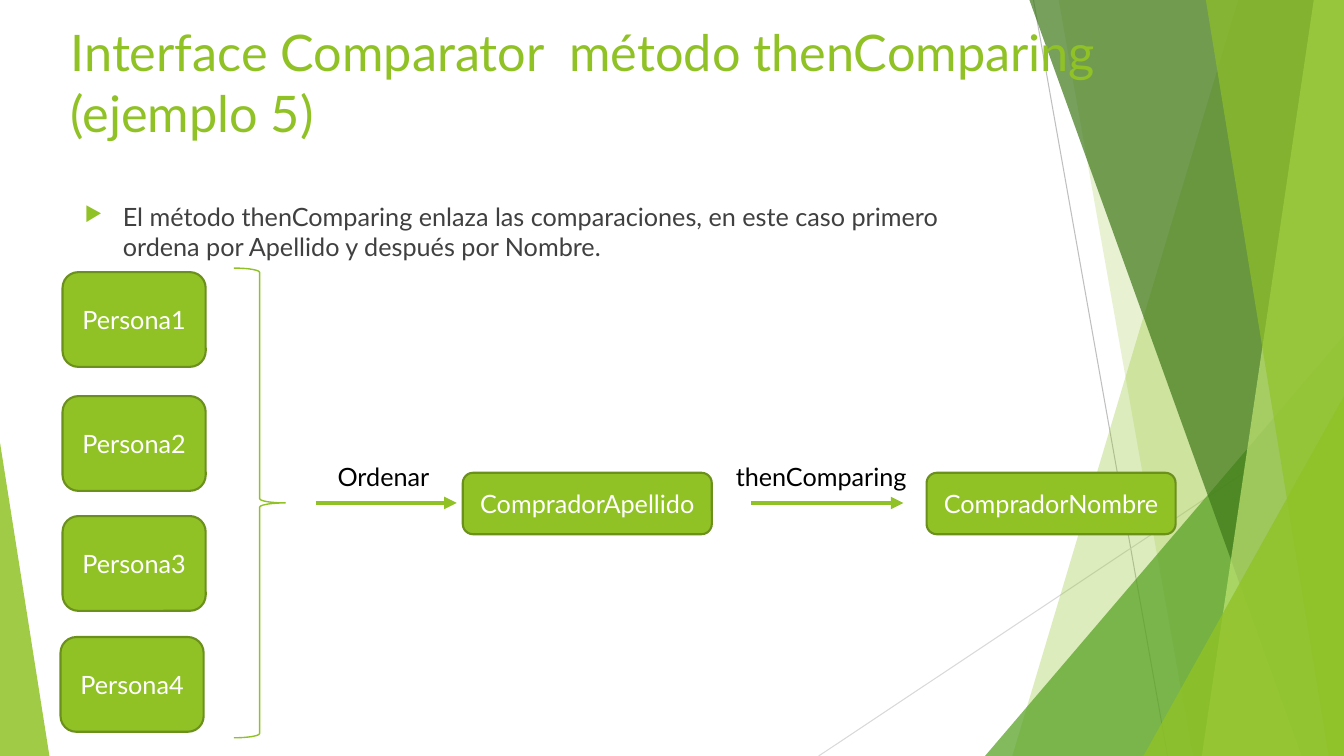
"""Build the slide on chaining comparators with thenComparing."""
from pptx import Presentation
from pptx.dml.color import RGBColor
from pptx.enum.shapes import MSO_CONNECTOR as Connector, MSO_SHAPE as Preset
from pptx.enum.text import MSO_ANCHOR as Anchor, PP_ALIGN as Align
from pptx.oxml.ns import qn
from pptx.oxml.xmlchemy import OxmlElement as make
from pptx.util import Inches, Pt

WIDTH, HEIGHT = 13.33, 7.5
GREEN, EDGE, WHITE, BLACK, GREY = "90C226", "6B901C", "FFFFFF", "000000", "404040"


def paint(shape, fill, line=None, weight=1.5, opacity=100):
    shape.shadow.inherit = False
    if fill:
        shape.fill.solid()
        shape.fill.fore_color.rgb = RGBColor.from_string(fill)
        alpha = make("a:alpha")
        alpha.set("val", str(opacity * 1000))
        shape.element.spPr.find(qn("a:solidFill"))[0].append(alpha)
    else:
        shape.fill.background()
    if line:
        shape.line.color.rgb = RGBColor.from_string(line)
        shape.line.width = Pt(weight)
    else:
        shape.line.fill.background()


def write(shape, text, color, size=18, align=Align.LEFT, anchor=Anchor.TOP):
    frame = shape.text_frame
    frame.text = text
    frame.word_wrap = True
    frame.vertical_anchor = anchor
    para = frame.paragraphs[0]
    para.alignment = align
    font = para.runs[0].font
    font.name, font.size = "Lato", Pt(size)
    font.color.rgb = RGBColor.from_string(color)


deck = Presentation()
deck.slide_width, deck.slide_height = Inches(WIDTH), Inches(HEIGHT)
page = deck.slides.add_slide(deck.slide_layouts[5])
shapes = page.shapes

rays = [
    (10.25, 0, 11.58, HEIGHT, "BFBFBF", 0.75, False),
    (WIDTH, 4.03, 8.12, HEIGHT, "D9D9D9", 0.75, False),
]
arrows = [(3.13, 4.99, 4.53, 4.99, GREEN, 3, True), (7.45, 4.99, 8.96, 4.99, GREEN, 3, True)]
for x1, y1, x2, y2, color, weight, has_head in rays + arrows:
    line = shapes.add_connector(Connector.STRAIGHT, *map(Inches, (x1, y1, x2, y2)))
    line.line.color.rgb = RGBColor.from_string(color)
    line.line.width = Pt(weight)
    if has_head:
        head = make("a:tailEnd")
        head.set("type", "triangle")
        line.line._get_or_add_ln().append(head)
    line.element.spPr.append(make("a:effectLst"))

facets = [
    ("band", 12.28, 10.04, GREEN, 30),
    ("band", 10.5, 11.83, GREEN, 20),
    ("right", 9.77, 3.33, "54A021", 72),
    ("band", 10.21, 12.91, "3F7819", 70),
    ("band", 13.03, 11.92, "C0E474", 70),
    ("band", 11.96, 13.18, GREEN, 65),
    ("right", 11.34, 3.93, GREEN, 80),
    ("left", 0.49, 4.39, GREEN, 85),
]
for kind, first, second, color, opacity in facets:
    if kind == "band":
        outline = shapes.build_freeform(Inches(first), 0)
        corners = [(WIDTH, 0), (WIDTH, HEIGHT), (second, HEIGHT)]
        outline.add_line_segments([(Inches(x), Inches(y)) for x, y in corners])
        facet = outline.convert_to_shape()
    else:
        left, right = (first, WIDTH) if kind == "right" else (0, first)
        facet = shapes.add_shape(Preset.ISOSCELES_TRIANGLE, Inches(left), Inches(second),
                                 Inches(right - left), Inches(HEIGHT - second))
        facet.adjustments[0] = 1 if kind == "right" else 0
    paint(facet, color, opacity=opacity)

title = shapes.title
title.left, title.top, title.width, title.height = map(Inches, (0.6, 0.16, 11.82, 1.31))
write(title, "Interface Comparator  método thenComparing (ejemplo 5)", GREEN, 36)
title.element.getparent().append(title.element)

body = shapes.add_textbox(*map(Inches, (0.74, 1.95, 9.4, 0.7)))
write(body, "El método thenComparing enlaza las comparaciones, en este caso primero "
            "ordena por Apellido y después por Nombre.", GREY)
properties = body.text_frame.paragraphs[0]._p.get_or_add_pPr()
properties.set("marL", str(Inches(0.38)))
properties.set("indent", str(-Inches(0.38)))
bullet_color = make("a:buClr")
swatch = make("a:srgbClr")
swatch.set("val", GREEN)
bullet_color.append(swatch)
bullet_size = make("a:buSzPct")
bullet_size.set("val", "80000")
bullet = make("a:buChar")
bullet.set("char", "▶")
properties.extend([bullet_color, bullet_size, bullet])

boxes = [
    ("Persona1", 0.62, 2.7, 1.42, 0.94),
    ("Persona2", 0.62, 3.93, 1.42, 0.94),
    ("Persona3", 0.62, 5.12, 1.42, 0.94),
    ("Persona4", 0.6, 6.32, 1.42, 0.94),
    ("CompradorApellido", 4.59, 4.69, 2.47, 0.61),
    ("CompradorNombre", 9.19, 4.69, 2.47, 0.61),
]
for text, *place in boxes:
    box = shapes.add_shape(Preset.ROUNDED_RECTANGLE, *map(Inches, place))
    paint(box, GREEN, EDGE)
    write(box, text, WHITE, align=Align.CENTER, anchor=Anchor.MIDDLE)

brace = shapes.add_shape(Preset.RIGHT_BRACE, *map(Inches, (2.32, 2.66, 0.51, 4.66)))
paint(brace, None, GREEN, 1)

for text, left, width in [("Ordenar", 3.25, 1.27), ("thenComparing", 7.2, 2.14)]:
    label = shapes.add_textbox(Inches(left), Inches(4.53), Inches(width), Inches(0.4))
    write(label, text, BLACK)

deck.save("out.pptx")
